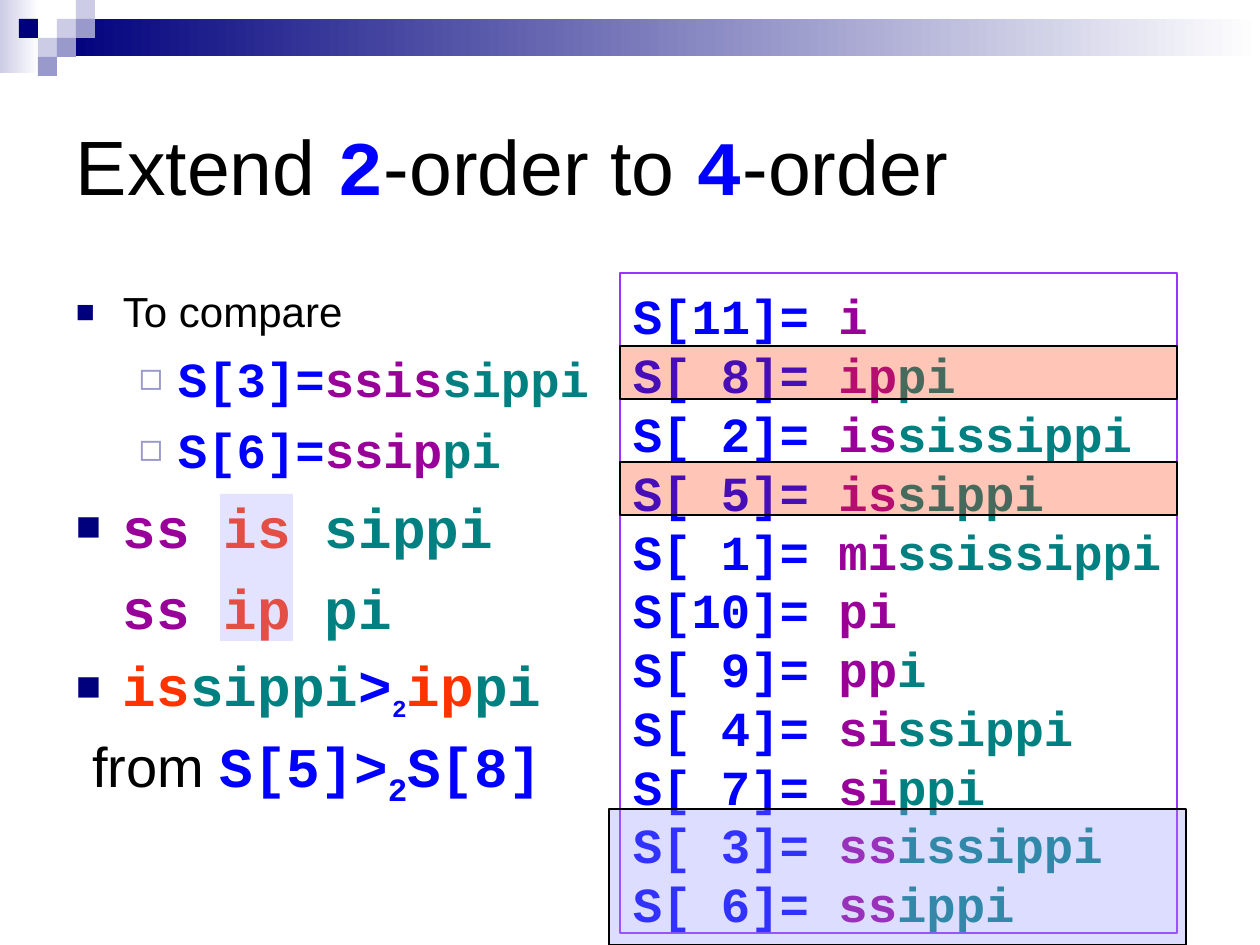
from dataclasses import dataclass

from lxml.etree import SubElement
from pptx import Presentation
from pptx.dml.color import RGBColor
from pptx.enum.shapes import MSO_SHAPE
from pptx.enum.text import MSO_ANCHOR, MSO_AUTO_SIZE, PP_ALIGN
from pptx.oxml.ns import qn
from pptx.util import Pt

SCALE = 914400 / 126
NAVY = RGBColor(0x00, 0x00, 0x7D)
MID = RGBColor(0x99, 0x99, 0xCC)
PALE = RGBColor(0xCC, 0xCC, 0xE6)
WHITE = RGBColor(0xFF, 0xFF, 0xFF)
BLACK = RGBColor(0x00, 0x00, 0x00)
BLUE = RGBColor(0x00, 0x00, 0xFF)
PLUM = RGBColor(0x99, 0x00, 0x99)
TEAL = RGBColor(0x00, 0x80, 0x80)
RED = RGBColor(0xFF, 0x33, 0x00)
LILAC = RGBColor(0x99, 0x99, 0xFF)
VIOLET = RGBColor(0x99, 0x33, 0xFF)


@dataclass(frozen=True)
class Box:
    x: int
    y: int
    w: int
    h: int


@dataclass(frozen=True)
class Word:
    text: str
    color: RGBColor
    sub: int = 0  # size of a subscript in points
    code: bool = True


@dataclass(frozen=True)
class Mark:
    char: str
    color: RGBColor
    size: int


@dataclass(frozen=True)
class Line:
    words: tuple[Word, ...]
    size: int
    before: int = 0
    left: int = 0
    hang: int = 0
    mark: Mark | None = None


@dataclass(frozen=True)
class Band:
    box: Box
    color: RGBColor
    alpha: int
    edge: bool = True


SOLID = Mark("■", NAVY, 75)
HOLLOW = Mark("◻", MID, 80)

TITLE = (
    Word("Extend ", BLACK, code=False), Word("2", BLUE),
    Word("-order to ", BLACK, code=False), Word("4", BLUE),
    Word("-order", BLACK, code=False),
)
POINTS = (
    Line((Word("To compare", BLACK, code=False),), 24, 0, 47, 47, SOLID),
    Line((Word("S[3]=", BLUE), Word("ssis", PLUM), Word("sippi", TEAL)),
         28, 7, 102, 39, HOLLOW),
    Line((Word("S[6]=", BLUE), Word("ssip", PLUM), Word("pi", TEAL)),
         28, 7, 102, 39, HOLLOW),
    Line((Word("ss ", PLUM), Word("is ", RED), Word("sippi", TEAL)),
         32, 8, 47, 47, SOLID),
    Line((Word("ss ", PLUM), Word("ip ", RED), Word("pi", TEAL)), 32, 8, 47),
    Line((Word("is", RED), Word("sippi", TEAL), Word(">", BLUE),
          Word("2", BLUE, 24), Word("ip", RED), Word("pi", TEAL)),
         32, 8, 47, 47, SOLID),
    Line((Word("from ", BLACK, code=False), Word("S[5]>", BLUE),
          Word("2", BLUE, 32), Word("S[8]", BLUE)), 32, 11, 16),
)
SUFFIXES = (
    (11, "i"), (8, "ippi"), (2, "ississippi"), (5, "issippi"),
    (1, "mississippi"), (10, "pi"), (9, "ppi"), (4, "sissippi"),
    (7, "sippi"), (3, "ssissippi"), (6, "ssippi"),
)
BANDS = (
    Band(Box(609, 809, 577, 136), LILAC, 33),
    Band(Box(220, 494, 73, 147), LILAC, 27, edge=False),
    Band(Box(620, 346, 557, 53), RED, 28),
    Band(Box(620, 462, 557, 53), RED, 28),
)
CELL = 19
CELLS = (
    (3, 1, PALE), (4, 0, PALE), (4, 1, MID), (2, 2, PALE),
    (1, 1, NAVY), (3, 2, MID), (2, 3, MID),
)


def px(count: int) -> int:
    return round(count * SCALE)


def place(box: Box) -> tuple[int, ...]:
    return px(box.x), px(box.y), px(box.w), px(box.h)


def add_rect(slide, box: Box):
    rect = slide.shapes.add_shape(MSO_SHAPE.RECTANGLE, *place(box))
    rect.shadow.inherit = False
    rect.line.fill.background()
    return rect


def add_fade(slide, box: Box, start: RGBColor) -> None:
    """Draw a bar that fades to white on the right."""
    fill = add_rect(slide, box).fill
    fill.gradient()
    fill.gradient_angle = 0
    for stop, color in zip(fill.gradient_stops, (start, WHITE)):
        stop.color.rgb = color


def add_cell(slide, col: int, row: int, color: RGBColor) -> None:
    fill = add_rect(slide, Box(col * CELL, row * CELL, CELL, CELL)).fill
    fill.solid()
    fill.fore_color.rgb = color


def add_band(slide, band: Band) -> None:
    rect = add_rect(slide, band.box)
    rect.fill.solid()
    rect.fill.fore_color.rgb = band.color
    tint = rect.fill._xPr.find(qn("a:solidFill"))[0]
    SubElement(tint, qn("a:alpha"), val=str(band.alpha * 1000))
    if band.edge:
        rect.line.color.rgb = BLACK
        rect.line.width = Pt(0.75)


def add_word(para, word: Word, size: int) -> None:
    run = para.add_run()
    run.text = word.text
    font = run.font
    font.name = "Courier New" if word.code else "Arial"
    font.bold = word.code
    font.size = Pt(word.sub or size)
    font.color.rgb = word.color
    if word.sub:
        run._r.get_or_add_rPr().set("baseline", "-25000")


def set_mark(para, line: Line) -> None:
    """Set the indents and the bullet of a paragraph."""
    props = para._p.get_or_add_pPr()
    props.set("marL", str(px(line.left)))
    props.set("indent", str(-px(line.hang)))
    if line.mark is None:
        SubElement(props, qn("a:buNone"))
        return
    tint = SubElement(props, qn("a:buClr"))
    SubElement(tint, qn("a:srgbClr"), val=str(line.mark.color))
    SubElement(props, qn("a:buSzPct"), val=str(line.mark.size * 1000))
    SubElement(props, qn("a:buFont"), typeface="Arial")
    SubElement(props, qn("a:buChar"), char=line.mark.char)


def set_frame(frame, top: int, anchor: MSO_ANCHOR) -> None:
    frame.word_wrap = True
    frame.auto_size = MSO_AUTO_SIZE.NONE
    frame.vertical_anchor = anchor
    frame.margin_left = frame.margin_right = px(13)
    frame.margin_top, frame.margin_bottom = px(top), px(6)


def fill_lines(frame, lines: tuple[Line, ...]) -> None:
    set_frame(frame, 13, MSO_ANCHOR.TOP)
    for index, line in enumerate(lines):
        para = frame.add_paragraph() if index else frame.paragraphs[0]
        set_mark(para, line)
        para.alignment = PP_ALIGN.LEFT
        para.line_spacing = Pt(line.size * 1.2)
        para.space_before = Pt(line.before)
        for word in line.words:
            add_word(para, word, line.size)


def make_row(rank: int, text: str) -> Line:
    """Colour the first two letters of a suffix apart from the rest."""
    words = [Word(f"S[{rank:>2}]= ", BLUE), Word(text[:2], PLUM)]
    if text[2:]:
        words.append(Word(text[2:], TEAL))
    return Line(tuple(words), 28)


def set_title(slide) -> None:
    title = slide.shapes.title
    title.left, title.top, title.width, title.height = place(
        Box(63, 63, 1134, 189))
    set_frame(title.text_frame, 20, MSO_ANCHOR.MIDDLE)
    para = title.text_frame.paragraphs[0]
    para.alignment = PP_ALIGN.LEFT
    for word in TITLE:
        add_word(para, word, 44)


def main() -> None:
    deck = Presentation()
    deck.slide_width, deck.slide_height = px(1260), px(945)
    slide = deck.slides.add_slide(deck.slide_layouts[5])
    add_fade(slide, Box(0, 0, 39, 73), PALE)
    add_fade(slide, Box(57, 19, 1203, 37), NAVY)
    for cell in CELLS:
        add_cell(slide, *cell)
    set_title(slide)
    body = slide.shapes.add_textbox(*place(Box(63, 273, 546, 620)))
    fill_lines(body.text_frame, POINTS)
    table = add_rect(slide, Box(620, 273, 557, 660))
    table.fill.background()
    table.line.color.rgb = VIOLET
    table.line.width = Pt(0.75)
    fill_lines(table.text_frame, tuple(make_row(*item) for item in SUFFIXES))
    for band in BANDS:
        add_band(slide, band)
    deck.save("out.pptx")


if __name__ == "__main__":
    main()
